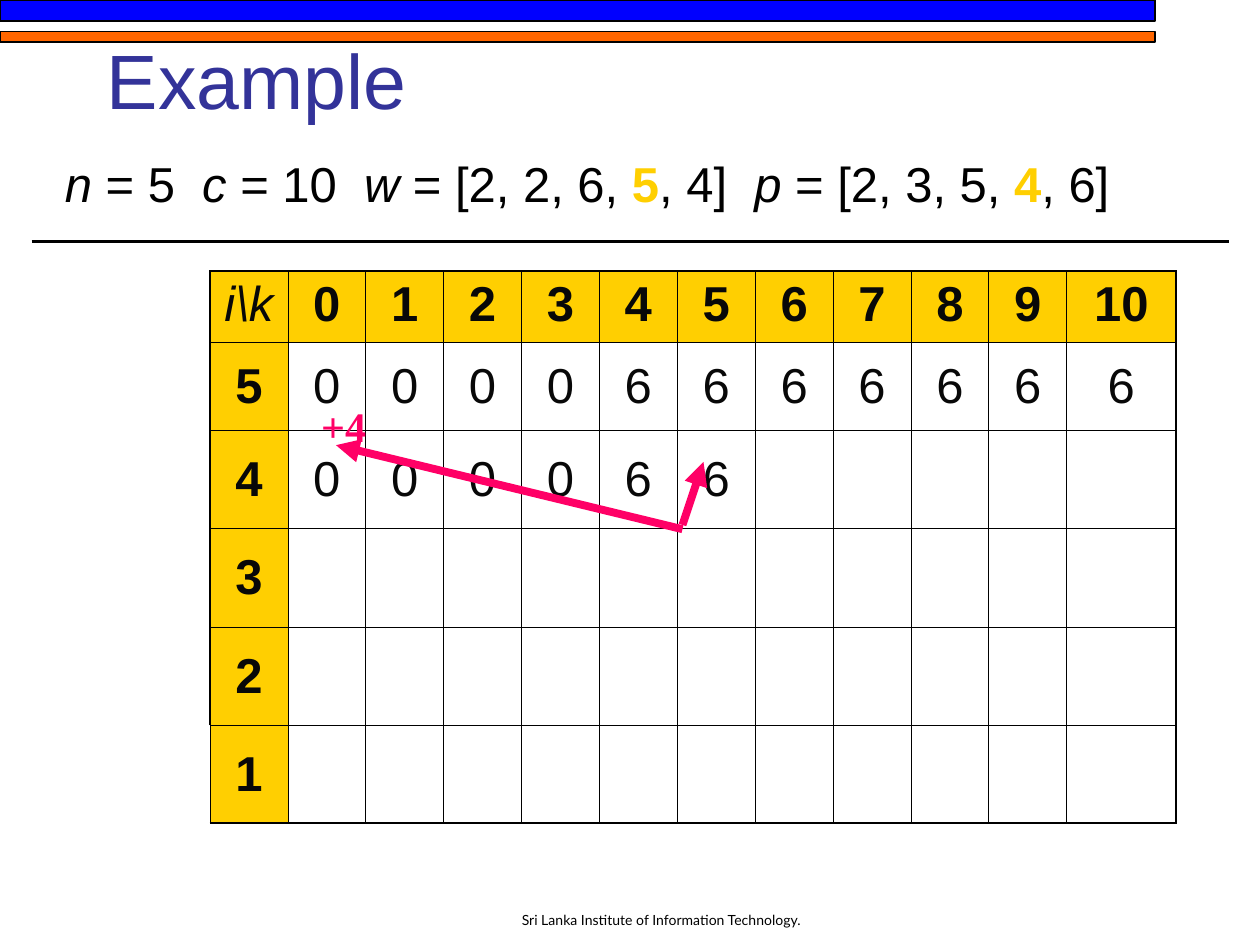
from lxml import etree
from pptx import Presentation
from pptx.dml.color import RGBColor
from pptx.enum.shapes import MSO_CONNECTOR, MSO_SHAPE
from pptx.enum.text import MSO_ANCHOR, MSO_AUTO_SIZE, PP_ALIGN
from pptx.oxml.ns import qn
from pptx.util import Inches, Pt

STRAIGHT = MSO_CONNECTOR.STRAIGHT
RECTANGLE = MSO_SHAPE.RECTANGLE
TOP, MIDDLE, BOTTOM = MSO_ANCHOR.TOP, MSO_ANCHOR.MIDDLE, MSO_ANCHOR.BOTTOM
LEFT, CENTER = PP_ALIGN.LEFT, PP_ALIGN.CENTER
GROW = MSO_AUTO_SIZE.SHAPE_TO_FIT_TEXT

COLUMNS, ROWS = 120, 90
SLIDE_WIDTH, SLIDE_HEIGHT = Inches(10), Inches(7.5)
COLORS = {
    "blue": "0000FF",
    "orange": "FF6600",
    "black": "000000",
    "ink": "080808",
    "title": "333399",
    "gold": "FFCF01",
    "pink": "FF0066",
}
THIN, THICK = 0.45, 1.08
HEADER = ["i\\k"] + [str(capacity) for capacity in range(11)]
KNOWN = {
    5: ["0"] * 4 + ["6"] * 7,
    4: ["0"] * 4 + ["6"] * 2,
}
GIVEN = [
    ("n ", "italic"), ("= 5  ", "plain"),
    ("c", "italic"), (" = 10  ", "plain"),
    ("w", "italic"), (" = [2, 2, 6, ", "plain"), ("5", "current"), (", 4]  ", "plain"),
    ("p", "italic"), (" = [2, 3, 5, ", "plain"), ("4", "current"), (", 6]", "plain"),
]


def rgb(name):
    return RGBColor.from_string(COLORS[name])


def across(columns):
    return round(SLIDE_WIDTH * columns / COLUMNS)


def down(rows):
    return round(SLIDE_HEIGHT * rows / ROWS)


def place(box):
    left, top, width, height = box
    return across(left), down(top), across(width), down(height)


def style(font, name, size, color, bold=False, italic=False):
    font.name, font.size = name, Pt(size)
    font.bold, font.italic = bold, italic
    font.color.rgb = rgb(color)


def add_text(page, box, anchor):
    frame = page.shapes.add_textbox(*place(box)).text_frame
    frame.word_wrap = True
    frame.vertical_anchor = anchor
    return frame


def add_line(page, start, end, color, weight, arrow=False):
    line = page.shapes.add_connector(
        STRAIGHT, across(start[0]), down(start[1]), across(end[0]), down(end[1]))
    line.line.color.rgb = rgb(color)
    line.line.width = Pt(weight)
    properties = line._element.spPr
    if arrow:
        etree.SubElement(properties.find(qn("a:ln")), qn("a:tailEnd"), type="triangle")
    etree.SubElement(properties, qn("a:effectLst"))


def add_banner(page, box):
    left, top, width, height = box
    for color, offset, share in (("blue", 0, 0.5), ("orange", 0.75, 0.25)):
        bar = page.shapes.add_shape(
            RECTANGLE, *place((left, top + offset * height, width, share * height)))
        bar.shadow.inherit = False
        bar.fill.solid()
        bar.fill.fore_color.rgb = rgb(color)
        bar.line.color.rgb = rgb("black")
        bar.line.width = Pt(0.75)


def add_label(page, box, text, font, size, color, anchor=BOTTOM, align=LEFT, bold=False):
    frame = add_text(page, box, anchor)
    para = frame.paragraphs[0]
    para.text = text
    para.alignment = align
    style(para.font, font, size, color, bold)
    return frame


def add_given(page, box):
    para = add_text(page, box, TOP).paragraphs[0]
    for text, role in GIVEN:
        span = para.add_run()
        span.text = text
        current = role == "current"
        style(span.font, "Arial", 28, "gold" if current else "black",
              bold=current, italic=role == "italic")


def set_borders(cell, weights):
    properties = cell._tc.get_or_add_tcPr()
    for side, weight in zip("LRTB", weights):
        border = etree.SubElement(properties, qn("a:ln" + side), w=str(Pt(weight)))
        fill = etree.SubElement(border, qn("a:solidFill"))
        etree.SubElement(fill, qn("a:srgbClr"), val=COLORS["black"])


def add_profit_table(page, box):
    left, top, width, height = box
    body = [[str(item)] + KNOWN.get(item, []) for item in range(5, 0, -1)]
    rows = [HEADER] + body
    last_row, last_column = len(rows) - 1, len(HEADER) - 1
    table = page.shapes.add_table(len(rows), len(HEADER), *place(box)).table
    table.first_row = table.horz_banding = False

    wide = 10.4
    narrow = (width - wide) / last_column
    for index, column in enumerate(table.columns):
        column.width = across(wide if index == last_column else narrow)
    first_heights = [6.8, 8.4]
    rest = (height - sum(first_heights)) / (len(rows) - len(first_heights))
    for index, row in enumerate(table.rows):
        row.height = down(first_heights[index] if index < len(first_heights) else rest)

    for r, values in enumerate(rows):
        for c in range(len(HEADER)):
            cell = table.cell(r, c)
            outer = (c == 0 and r < last_row, c == last_column, r == 0, r == last_row)
            set_borders(cell, [THICK if edge else THIN for edge in outer])
            heading = r == 0 or c == 0
            if heading:
                cell.fill.solid()
                cell.fill.fore_color.rgb = rgb("gold")
            else:
                cell.fill.background()
            cell.vertical_anchor = TOP if r == 0 else MIDDLE
            para = cell.text_frame.paragraphs[0]
            para.text = values[c] if c < len(values) else ""
            para.alignment = CENTER
            corner = r == c == 0
            style(para.font, "Arial", 28, "ink", bold=heading and not corner, italic=corner)


def add_choice(page, box):
    left, top, width, height = box
    right, bottom = left + width, top + height
    add_line(page, (right - 2, bottom), (left, top), "pink", 4.5, arrow=True)
    add_line(page, (right - 2, bottom - 0.4), (right, top + 1.6), "pink", 4.5, arrow=True)
    frame = add_label(page, (left - 2.6, top - 4.8, 6.6, 6), "+4", "Times New Roman", 24,
                      "pink", anchor=TOP, bold=True)
    frame.margin_right = 0
    frame.auto_size = GROW


def main():
    deck = Presentation()
    deck.slide_width, deck.slide_height = SLIDE_WIDTH, SLIDE_HEIGHT
    page = deck.slides.add_slide(deck.slide_layouts[6])
    add_banner(page, (0, 0, 110, 4))
    add_line(page, (3, 23), (117, 23), "black", 1.5)
    add_label(page, (44, 83, 38, 6), "Sri Lanka Institute of Information Technology.",
              "Lato", 8, "black", align=CENTER)
    add_label(page, (9, 2.5, 102, 10), "Example", "Arial", 44, "title")
    add_given(page, (5, 14, 115, 11))
    add_profit_table(page, (20, 25.8, 92, 52.6))
    add_choice(page, (32, 42.4, 35, 8))
    deck.save("out.pptx")


if __name__ == "__main__":
    main()
